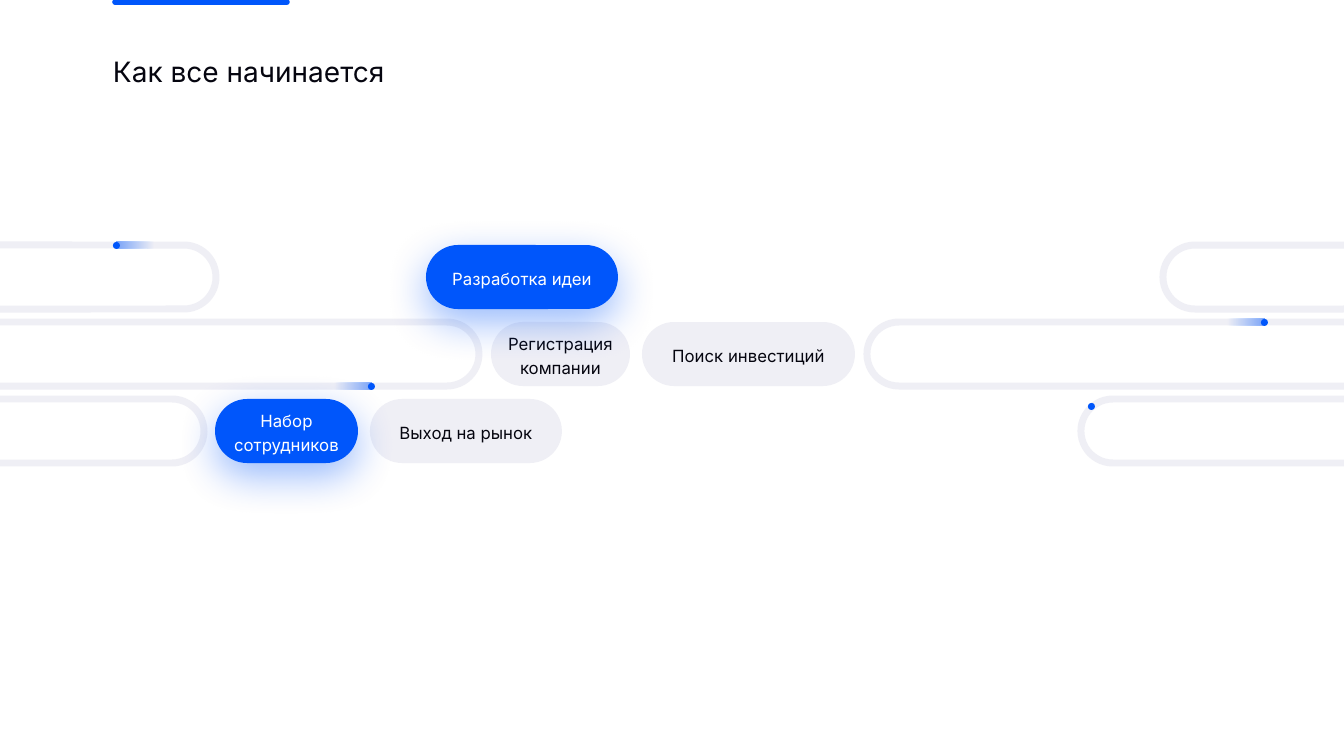
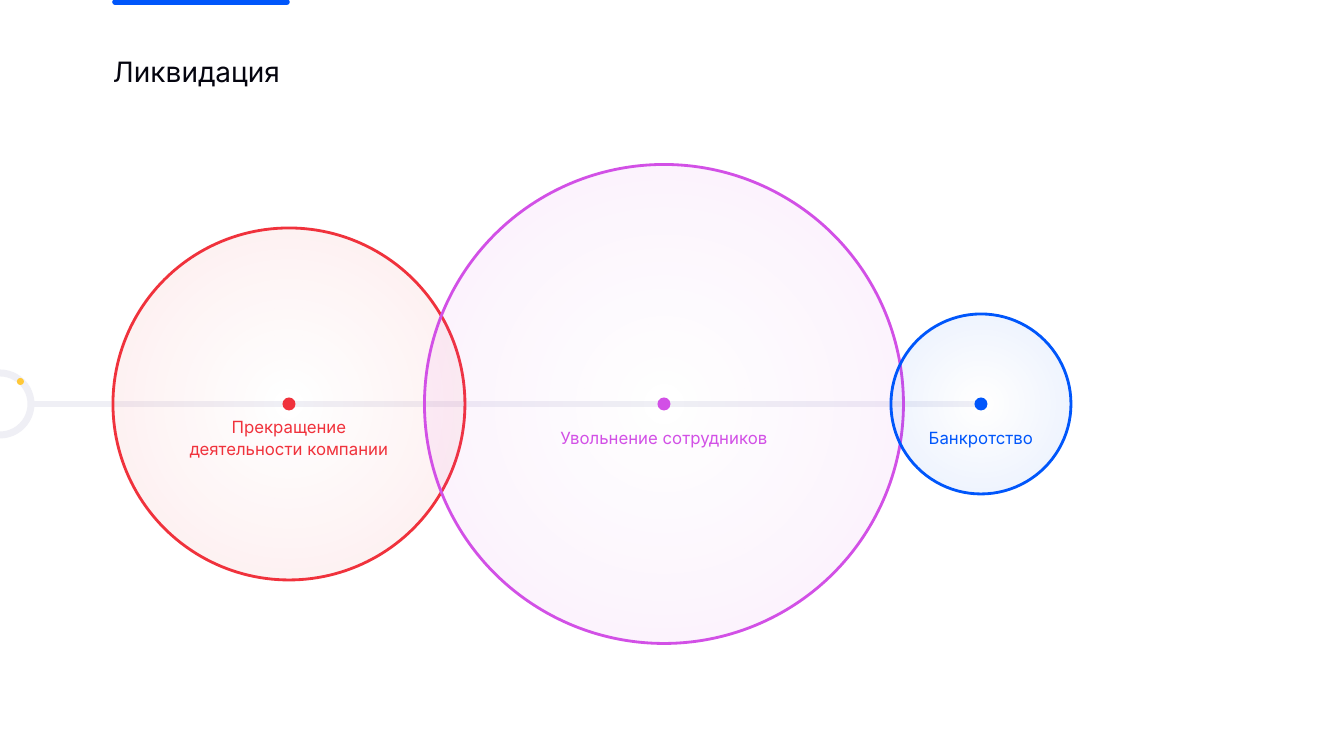
from dataclasses import dataclass

from pptx import Presentation
from pptx.dml.color import RGBColor
from pptx.enum.shapes import MSO_CONNECTOR, MSO_SHAPE
from pptx.enum.text import MSO_ANCHOR, PP_ALIGN
from pptx.oxml import parse_xml
from pptx.oxml.ns import nsdecls, qn
from pptx.util import Emu, Pt

PILL, OVAL, RECT = MSO_SHAPE.ROUNDED_RECTANGLE, MSO_SHAPE.OVAL, MSO_SHAPE.RECTANGLE
STRAIGHT = MSO_CONNECTOR.STRAIGHT
LEFT, CENTER = PP_ALIGN.LEFT, PP_ALIGN.CENTER
TOP, MIDDLE = MSO_ANCHOR.TOP, MSO_ANCHOR.MIDDLE
EMU_PER_PX = 914400 / 100.8


@dataclass(frozen=True)
class Theme:
    font: str = "Inter"
    title_size: int = 20
    label_size: int = 12
    ink: str = "05050F"
    white: str = "FFFFFF"
    grey: str = "EFEFF5"
    blue: str = "0056FB"
    red: str = "F0323C"
    violet: str = "D250E6"
    yellow: str = "FFC837"
    rail_width: int = 5
    accent_width: int = 4
    ring_width: int = 2


THEME = Theme()
PAGE_SIZE = (1344, 756)
DOT = 7

START_TITLE = "Как все начинается"
ROW_TOP, ROW_PITCH, PILL_HEIGHT = 245, 77, 64
TRACKS = [
    (0, -37, 253), (0, 1163, 212),
    (1, -37, 516), (1, 867, 509),
    (2, -37, 241), (2, 1081, 295),
]
STEPS = [
    ("Регистрация компании", 1, 491, 139, False),
    ("Поиск инвестиций", 1, 642, 213, False),
    ("Выход на рынок", 2, 370, 192, False),
    ("Разработка идеи", 0, 426, 192, True),
    ("Набор сотрудников", 2, 215, 143, True),
]
TRAIL = 37
RUNNERS = [(113, 242, "right"), (368, 383, "left"), (1261, 319, "left"), (1088, 403, None)]

END_TITLE = "Ликвидация"
AXIS_Y = 404
RAIL_START = 62
STAGE_DOT = 13
STAGES = [
    ("Прекращение деятельности компании", 289, 352, THEME.red),
    ("Увольнение сотрудников", 664, 479, THEME.violet),
    ("Банкротство", 981, 180, THEME.blue),
]


def px(value):
    return Emu(round(value * EMU_PER_PX))


def rgb(color):
    return RGBColor.from_string(color)


def add_shape(page, kind, left, top, width, height, fill=None, line=None, line_width=0):
    shape = page.shapes.add_shape(kind, px(left), px(top), px(width), px(height))
    shape.shadow.inherit = False
    if kind == PILL:
        shape.adjustments[0] = 0.5
    if fill:
        shape.fill.solid()
        shape.fill.fore_color.rgb = rgb(fill)
    else:
        shape.fill.background()
    if line:
        shape.line.color.rgb = rgb(line)
        shape.line.width = Pt(line_width)
    else:
        shape.line.fill.background()
    return shape


def add_circle(page, center_x, center_y, diameter, **style):
    return add_shape(page, OVAL, center_x - diameter / 2, center_y - diameter / 2,
                     diameter, diameter, **style)


def add_line(page, x1, x2, y, color, width, cap="flat"):
    line = page.shapes.add_connector(STRAIGHT, px(x1), px(y), px(x2), px(y))
    line.line.color.rgb = rgb(color)
    line.line.width = Pt(width)
    properties = line._element.spPr
    properties.find(qn("a:ln")).set("cap", cap)
    properties.append(parse_xml(f"<a:effectLst {nsdecls('a')}/>"))


def write(shape, text, size, color, spacing, align=CENTER, anchor=MIDDLE, insets=(0, 0, 0, 0)):
    frame = shape.text_frame
    frame.word_wrap = True
    frame.vertical_anchor = anchor
    frame.margin_left, frame.margin_top, frame.margin_right, frame.margin_bottom = map(px, insets)
    para = frame.paragraphs[0]
    para.text = text
    para.alignment = align
    para.line_spacing = spacing
    para.font.name = THEME.font
    para.font.size = Pt(size)
    para.font.color.rgb = rgb(color)


def fade(shape, color, start_alpha, end_alpha, direction):
    stops = "".join(
        f'<a:gs pos="{position}"><a:srgbClr val="{color}">'
        f'<a:alpha val="{alpha * 1000}"/></a:srgbClr></a:gs>'
        for position, alpha in ((0, start_alpha), (100000, end_alpha))
    )
    gradient = parse_xml(
        f'<a:gradFill {nsdecls("a")} rotWithShape="1"><a:gsLst>{stops}</a:gsLst>'
        f'{direction}</a:gradFill>'
    )
    properties = shape._element.spPr
    properties.replace(properties.find(qn("a:solidFill")), gradient)


LINEAR = '<a:lin ang="0" scaled="0"/>'
RADIAL = '<a:path path="circle"><a:fillToRect l="50000" t="50000" r="50000" b="50000"/></a:path>'


def glow(shape, color):
    shadow = parse_xml(
        f'<a:outerShdw {nsdecls("a")} blurRad="{Pt(30)}" dist="{Pt(10)}" dir="5400000" '
        f'algn="t" rotWithShape="0"><a:srgbClr val="{color}"><a:alpha val="40000"/>'
        f'</a:srgbClr></a:outerShdw>'
    )
    shape._element.spPr.find(qn("a:effectLst")).append(shadow)


def add_page(deck, title):
    page = deck.slides.add_slide(deck.slide_layouts[6])
    page.background.fill.solid()
    page.background.fill.fore_color.rgb = rgb(THEME.white)
    add_line(page, 115, 287, 2, THEME.blue, THEME.accent_width, cap="rnd")
    box = page.shapes.add_textbox(px(113), px(58), px(1117), px(112))
    write(box, title, THEME.title_size, THEME.ink, 0.9, LEFT, TOP)
    return page


def add_runner(page, left, top, side):
    if side:
        center = left + 4
        trail_left = center if side == "right" else center - TRAIL
        trail = add_shape(page, RECT, trail_left, top, TRAIL, DOT, fill=THEME.blue)
        alphas = (50, 0) if side == "right" else (0, 50)
        fade(trail, THEME.blue, *alphas, LINEAR)
    add_shape(page, OVAL, left, top, DOT, DOT, fill=THEME.blue)


def build_start(deck):
    page = add_page(deck, START_TITLE)
    for row, left, width in TRACKS:
        add_shape(page, PILL, left, ROW_TOP + row * ROW_PITCH, width, PILL_HEIGHT,
                  line=THEME.grey, line_width=THEME.rail_width)
    for label, row, left, width, active in STEPS:
        pill = add_shape(page, PILL, left, ROW_TOP + row * ROW_PITCH, width, PILL_HEIGHT,
                         fill=THEME.blue if active else THEME.grey)
        write(pill, label, THEME.label_size, THEME.white if active else THEME.ink, 1.2)
        if active:
            glow(pill, THEME.blue)
    for runner in RUNNERS:
        add_runner(page, *runner)


def build_end(deck):
    page = add_page(deck, END_TITLE)
    add_line(page, 0, STAGES[-1][1], AXIS_Y, THEME.grey, THEME.rail_width)
    add_circle(page, 0, AXIS_Y, RAIL_START, fill=THEME.white,
               line=THEME.grey, line_width=THEME.rail_width)
    for label, center_x, diameter, color in STAGES:
        ring = add_circle(page, center_x, AXIS_Y, diameter, fill=color,
                          line=color, line_width=THEME.ring_width)
        fade(ring, color, 0, 10, RADIAL)
        write(ring, label, THEME.label_size, color, 1.1, insets=(10, 71, 10, 5))
    for _, center_x, _, color in STAGES:
        add_circle(page, center_x, AXIS_Y, STAGE_DOT, fill=color)
    add_shape(page, OVAL, 17, 378, DOT, DOT, fill=THEME.yellow)


def main():
    deck = Presentation()
    deck.slide_width, deck.slide_height = map(px, PAGE_SIZE)
    build_start(deck)
    build_end(deck)
    deck.save("out.pptx")


if __name__ == "__main__":
    main()
